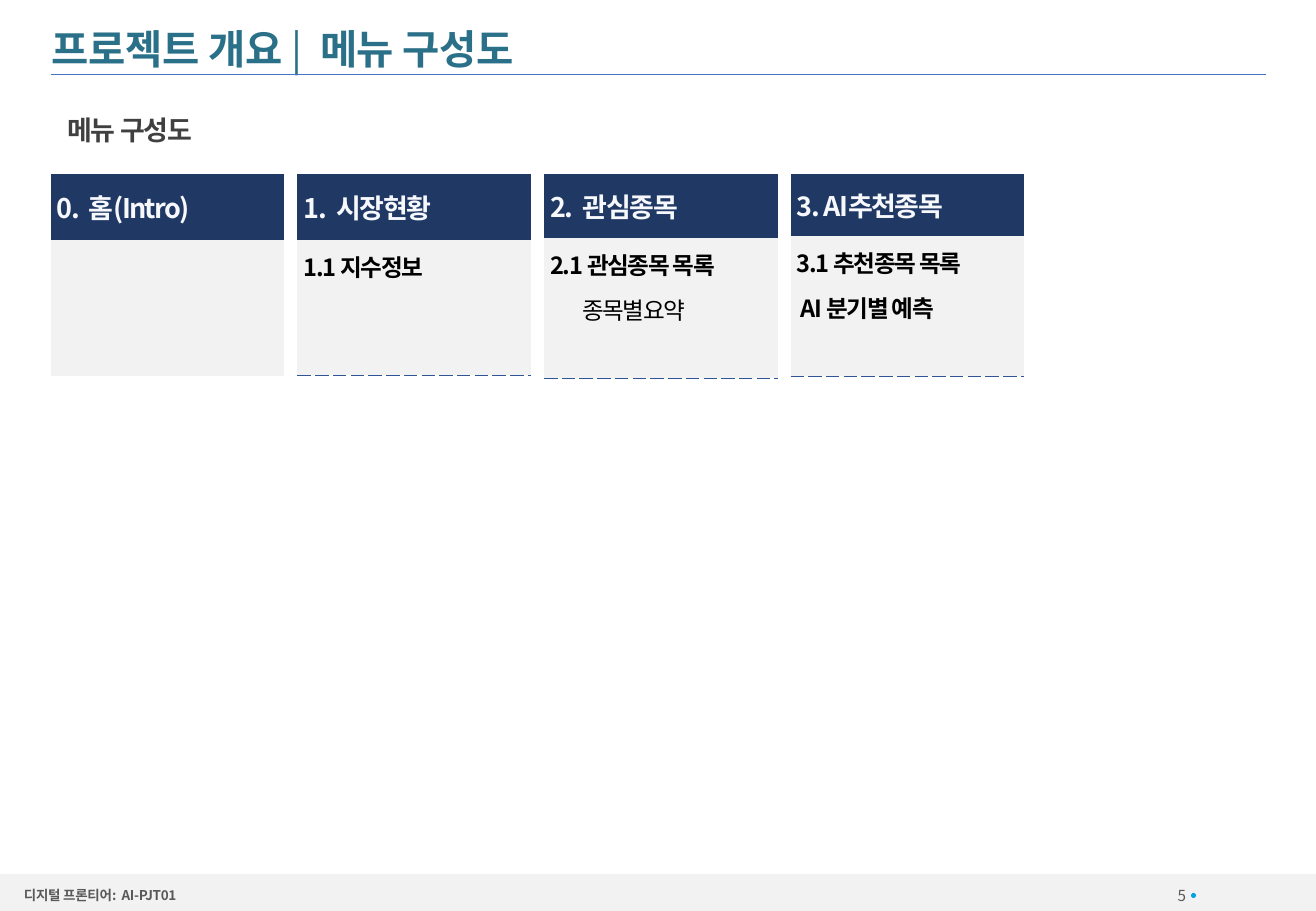
from lxml import etree
from pptx import Presentation
from pptx import util as u
from pptx.dml.color import RGBColor
from pptx.enum import shapes, text
from pptx.oxml.ns import qn

PX = 914400 / 121.5
FONT = "Noto Sans CJK KR"
COLORS = {
    "title": "2B7089", "rule": "4472C4", "subtitle": "404040",
    "header": "203864", "header_text": "F6F8FC", "body": "F2F2F2",
    "body_text": "000000", "dash": "2F5597",
    "footer": "F2F2F2", "footer_text": "595959", "dot": "00A3DF",
}
# header, header height, body height, letter spacing, entries (wording, indent, bold)
MENUS = [
    ("0.  홈(Intro)", 66, 136, -100, []),
    ("1.  시장현황", 66, 135, -80, [("1.1 지수정보", 0, True)]),
    ("2.  관심종목", 64, 140, -80,
     [("2.1 관심종목 목록", 0, True), ("종목별요약", 32, False)]),
    ("3. AI추천종목", 62, 140, -80,
     [("3.1 추천종목 목록", 0, True), ("AI 분기별 예측", 4, True)]),
]


def px(value):
    return u.Emu(round(value * PX))


def emu(box):
    return [px(value) for value in box]


def color(name):
    return RGBColor.from_string(COLORS[name])


def style(span, size, name, bold=True, spacing=0):
    font = span.font
    font.size, font.bold, font.name = u.Pt(size), bold, FONT
    font.color.rgb = color(name)
    properties = font._element
    properties.set("spc", str(spacing))
    etree.SubElement(properties, qn("a:ea"), typeface=FONT)


def add_text(page, box, spans, size, name, spacing=0, margins=(0, 0),
             anchor=text.MSO_ANCHOR.MIDDLE, align=text.PP_ALIGN.LEFT, wrap=True):
    """Place one line made of (wording, bold) spans."""
    frame = page.shapes.add_textbox(*emu(box)).text_frame
    frame.word_wrap = wrap
    frame.vertical_anchor = anchor
    frame.margin_left = frame.margin_right = px(margins[0])
    frame.margin_top = frame.margin_bottom = px(margins[1])
    para = frame.paragraphs[0]
    para.alignment = align
    for wording, bold in spans:
        span = para.add_run()
        span.text = wording
        style(span, size, name, bold, spacing)


def add_plain(page, kind, box, name):
    shape = page.shapes.add_shape(kind, *emu(box))
    shape.shadow.inherit = False
    shape.fill.solid()
    shape.fill.fore_color.rgb = color(name)
    shape.line.fill.background()


def set_borders(cell, dashed_bottom):
    properties = cell._tc.get_or_add_tcPr()
    for index, side in enumerate(("lnL", "lnR", "lnT", "lnB")):
        line = etree.Element(qn("a:" + side), w="3175")
        if side == "lnB" and dashed_bottom:
            fill = etree.SubElement(line, qn("a:solidFill"))
            etree.SubElement(fill, qn("a:srgbClr"), val=COLORS["dash"])
            etree.SubElement(line, qn("a:prstDash"), val="dash")
        else:
            etree.SubElement(line, qn("a:noFill"))
        properties.insert(index, line)


def fill_cell(cell, entries, fill, size, name, spacing, margin, dashed=False):
    cell.fill.solid()
    cell.fill.fore_color.rgb = color(fill)
    cell.margin_left = cell.margin_right = px(6)
    cell.margin_top = cell.margin_bottom = px(margin)
    set_borders(cell, dashed)
    frame = cell.text_frame
    frame.text = "\n".join(wording for wording, _, _ in entries)
    for para, (_, indent, bold) in zip(frame.paragraphs, entries):
        para.space_before = para.space_after = u.Pt(3)
        para._p.get_or_add_pPr().set("marL", str(px(indent)))
        style(para.runs[0], size, name, bold, spacing)


def draw_menu(page, box, menu):
    heading, header_height, body_height, spacing, entries = menu
    left, top, width = box
    frame = page.shapes.add_table(
        2, 1, *emu((left, top, width, header_height + body_height)))
    table = frame.table
    table.first_row = table.horz_banding = False
    table.columns[0].width = px(width)
    table.rows[0].height = px(header_height)
    table.rows[1].height = px(body_height)
    header, body = table.cell(0, 0), table.cell(1, 0)
    header.vertical_anchor = text.MSO_ANCHOR.MIDDLE
    fill_cell(header, [(heading, 0, True)], "header", 16, "header_text", spacing, 11)
    fill_cell(body, entries, "body", 14, "body_text", -80, 9, dashed=bool(entries))


def draw_heading(page, box):
    left, top, width, height = box
    add_text(page, (left + 1, top, width - 1, height),
             [("프로젝트 개요 ", True), ("|  ", False), ("메뉴 구성도", True)],
             24, "title", -20, wrap=False)
    rule_y = top + height - 1
    rule = page.shapes.add_connector(
        shapes.MSO_CONNECTOR.STRAIGHT, *emu((left, rule_y, left + width, rule_y)))
    rule.line.color.rgb = color("rule")
    rule.line.width = u.Pt(0.5)
    etree.SubElement(rule._element.spPr, qn("a:effectLst"))
    add_text(page, (left + 4, top + 86, 871, 45), [("메뉴 구성도", True)],
             16, "subtitle", -50, (12, 6), text.MSO_ANCHOR.TOP)


def draw_menus(page, box):
    left, top, width = box
    gap = 13
    column = (width - gap * (len(MENUS) - 1)) / len(MENUS)
    for index, menu in enumerate(MENUS):
        draw_menu(page, (left + index * (column + gap), top, column), menu)


def draw_footer(page, box):
    left, top, width, height = box
    add_plain(page, shapes.MSO_SHAPE.RECTANGLE, box, "footer")
    add_plain(page, shapes.MSO_SHAPE.OVAL, (left + 1191, top + 19, 5, 5), "dot")
    add_text(page, (left + 1101, top + 9, 85, 24), [("5", False)],
             9, "footer_text", align=text.PP_ALIGN.RIGHT)
    add_text(page, (left + 24, top + 13, 515, 16),
             [("디지털 프론티어:  AI-PJT01", True)], 8, "footer_text", -20)


def main():
    deck = Presentation()
    deck.slide_width, deck.slide_height = px(1316), px(911)
    page = deck.slides.add_slide(deck.slide_layouts[6])
    draw_footer(page, (0, 874, 1316, 37))
    draw_heading(page, (51, 22, 1215, 53))
    draw_menus(page, (51, 174, 973))
    deck.save("out.pptx")


if __name__ == "__main__":
    main()
